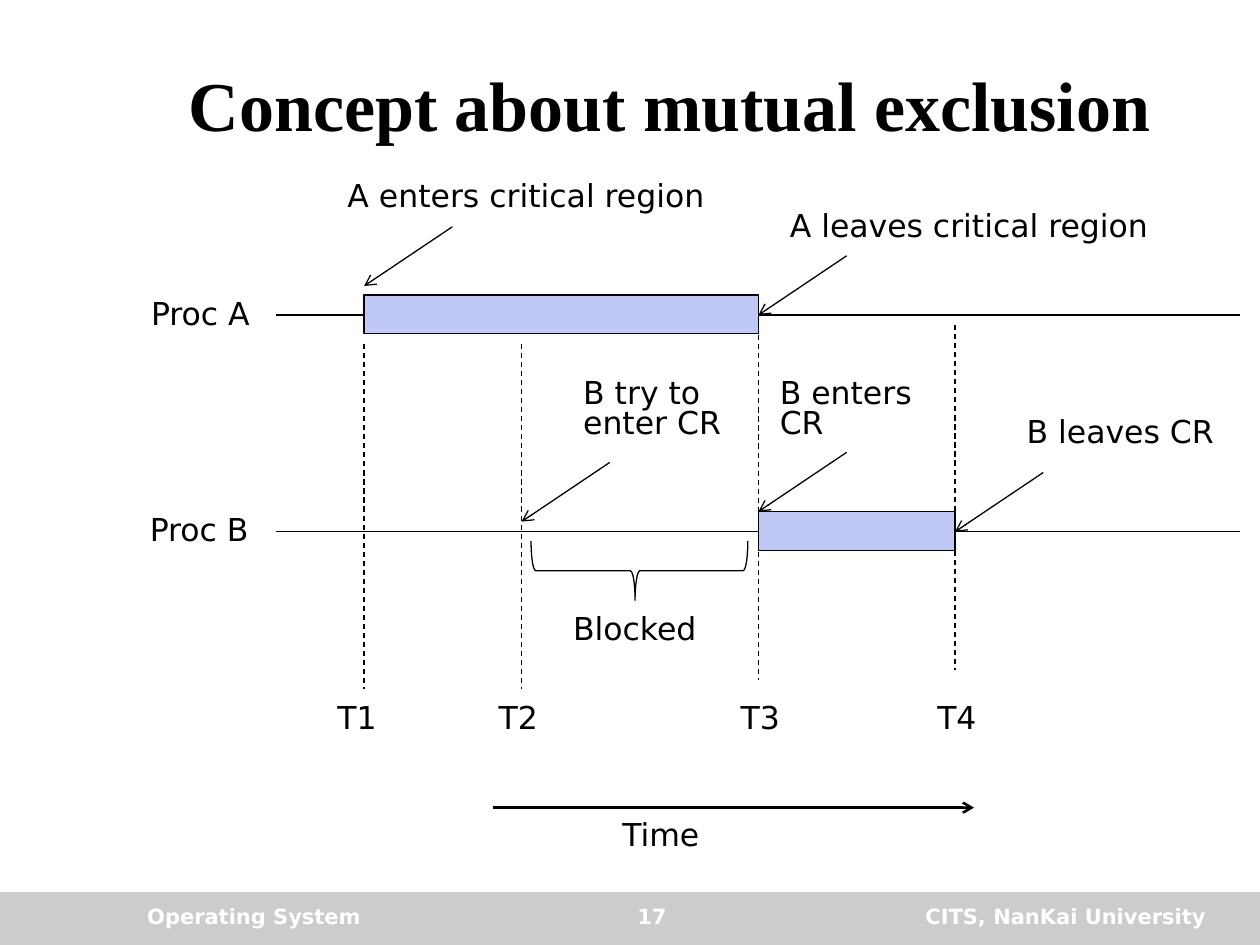
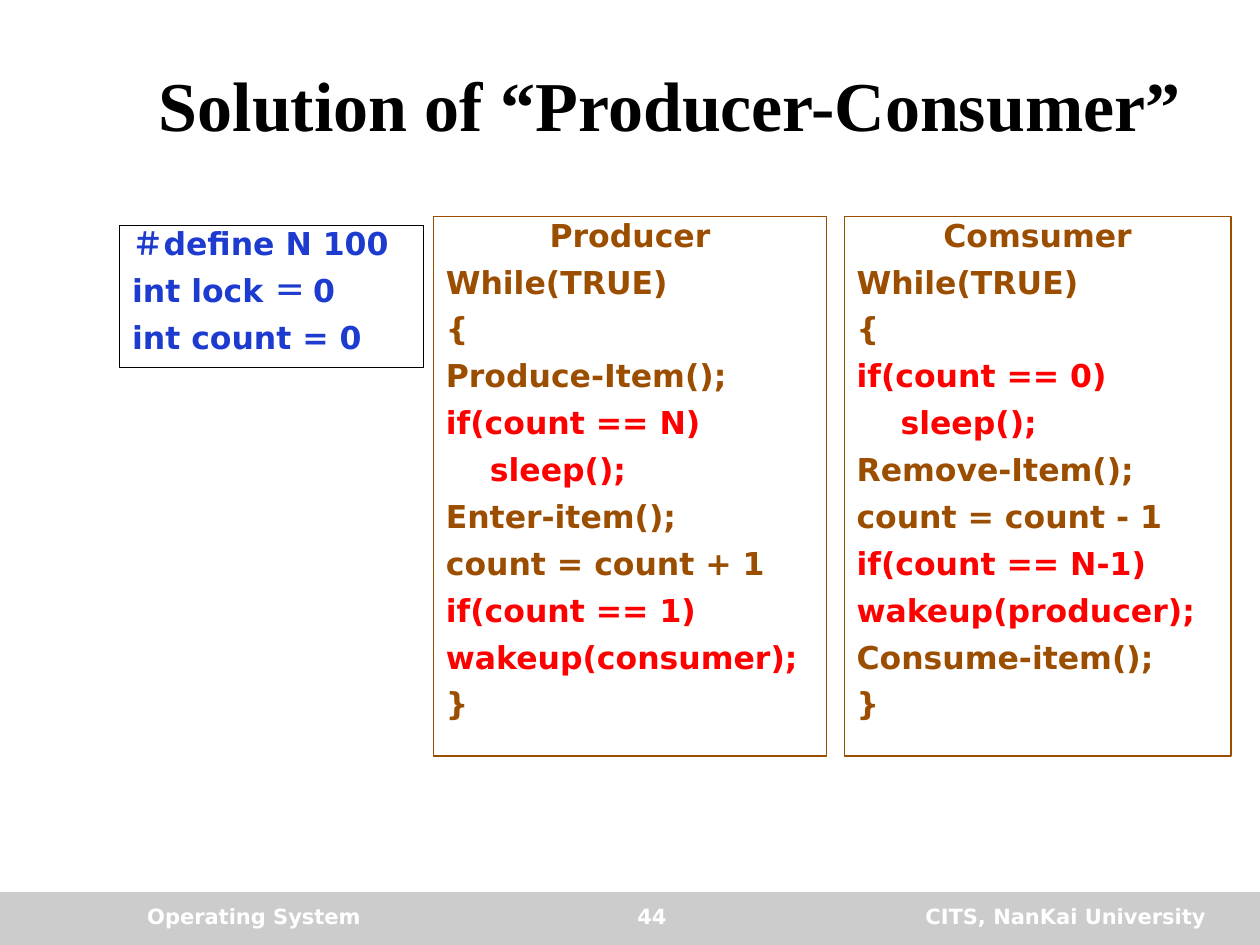
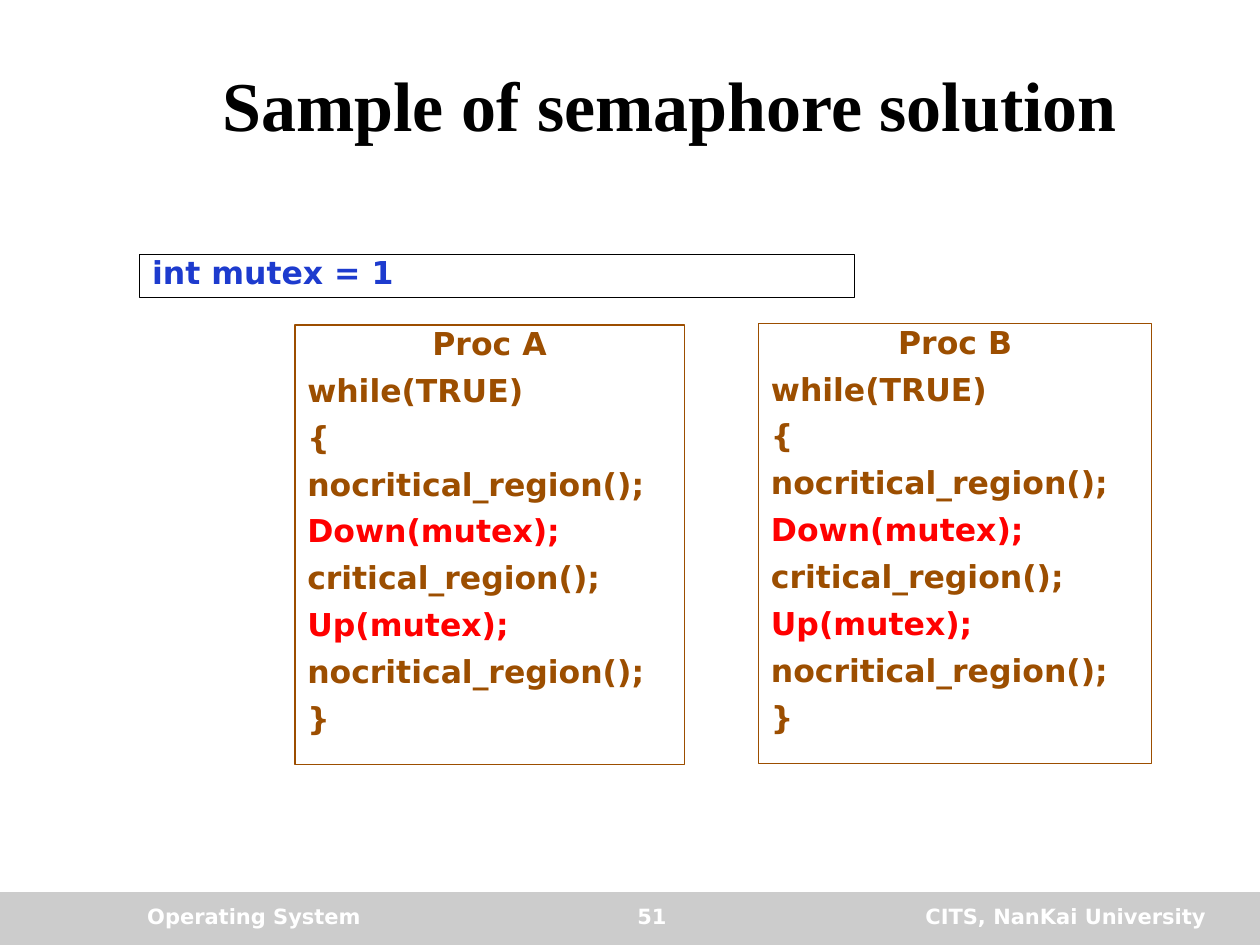
from pptx import Presentation
from pptx.dml.color import RGBColor
from pptx.enum.dml import MSO_LINE
from pptx.enum.shapes import MSO_CONNECTOR, MSO_SHAPE
from pptx.enum.text import MSO_ANCHOR, MSO_AUTO_SIZE, PP_ALIGN
from pptx.oxml.ns import qn
from pptx.util import Inches, Pt
from lxml import etree

LEFT, CENTER, RIGHT = PP_ALIGN.LEFT, PP_ALIGN.CENTER, PP_ALIGN.RIGHT
TOP, MIDDLE = MSO_ANCHOR.TOP, MSO_ANCHOR.MIDDLE
FIXED, GROW = MSO_AUTO_SIZE.NONE, MSO_AUTO_SIZE.SHAPE_TO_FIT_TEXT
RECTANGLE, BRACE = MSO_SHAPE.RECTANGLE, MSO_SHAPE.LEFT_BRACE
STRAIGHT, DASH = MSO_CONNECTOR.STRAIGHT, MSO_LINE.DASH

BLACK = RGBColor(0x00, 0x00, 0x00)
WHITE = RGBColor(0xFF, 0xFF, 0xFF)
GREY = RGBColor(0xCC, 0xCC, 0xCC)
LILAC = RGBColor(0xC0, 0xC9, 0xF6)
BROWN = RGBColor(0x9C, 0x4E, 0x00)
RED = RGBColor(0xFF, 0x00, 0x00)
BLUE = RGBColor(0x1D, 0x3B, 0xCE)

TITLE_FONT, BODY_FONT = "Times New Roman", "DejaVu Sans"


class Lecture:
    """Holds the deck, its style and the current page."""

    def __init__(self):
        self.deck = Presentation()
        self.deck.slide_width = Inches(10)
        self.deck.slide_height = Inches(7.5)
        self.page = None

    def new_page(self, title, number):
        self.page = self.deck.slides.add_slide(self.deck.slide_layouts[6])
        self.shape(RECTANGLE, 0, 7.08, 10, 0.42, fill=GREY, line=None)
        self.text(title, 1.06, 0.33, 8.51, 0.98, size=40, bold=True,
                  font=TITLE_FONT, align=CENTER, anchor=MIDDLE)
        footers = [("Operating System", 1.07, 2.75, LEFT),
                   ("CITS, NanKai University", 6.5, 3.17, RIGHT),
                   (str(number), 4.01, 2.33, CENTER)]
        for words, left, width, align in footers:
            self.text(words, left, 7.12, width, 0.33, size=12, bold=True,
                      color=WHITE, align=align)

    def style(self, para, size=18, color=BLACK, bold=False, font=BODY_FONT,
              align=LEFT, spacing=1.0):
        para.alignment = align
        para.line_spacing = spacing
        for span in para.runs:
            span.font.size = Pt(size)
            span.font.name = font
            span.font.bold = bold
            span.font.color.rgb = color

    def text(self, words, left, top, width, height, anchor=TOP, wrap=True,
             fit=FIXED, **look):
        box = self.page.shapes.add_textbox(
            Inches(left), Inches(top), Inches(width), Inches(height))
        frame = box.text_frame
        frame.word_wrap = wrap
        frame.auto_size = fit
        frame.vertical_anchor = anchor
        frame.text = words
        self.style(frame.paragraphs[0], **look)

    def label(self, words, left, top, width, height=0.34, wrap=False):
        self.text(words, left, top, width, height, wrap=wrap, fit=GROW,
                  spacing=0.8)

    def shape(self, kind, left, top, width, height, fill=None, line=BLACK):
        shape = self.page.shapes.add_shape(
            kind, Inches(left), Inches(top), Inches(width), Inches(height))
        shape.shadow.inherit = False
        if fill is None:
            shape.fill.background()
        else:
            shape.fill.solid()
            shape.fill.fore_color.rgb = fill
        if line is None:
            shape.line.fill.background()
        else:
            shape.line.color.rgb = line
            shape.line.width = Pt(0.75)
        return shape

    def line(self, x1, y1, x2, y2, weight=0.75, dashed=False, arrow=False):
        line = self.page.shapes.add_connector(
            STRAIGHT, Inches(x1), Inches(y1), Inches(x2), Inches(y2))
        line.line.color.rgb = BLACK
        line.line.width = Pt(weight)
        if dashed:
            line.line.dash_style = DASH
        if arrow:
            outline = line.line._get_or_add_ln()
            etree.SubElement(outline, qn("a:tailEnd"), type="arrow")
        etree.SubElement(line._element.spPr, qn("a:effectLst"))

    def code(self, lines, left, top, width, height, color=BROWN, line=BROWN,
             heading=True, red=(), indented=()):
        """Boxed code; red and indented hold line numbers."""
        box = self.shape(RECTANGLE, left, top, width, height, line=line)
        frame = box.text_frame
        frame.word_wrap = True
        frame.vertical_anchor = TOP
        frame.text = "\n".join(lines)
        for row, para in enumerate(frame.paragraphs):
            self.style(para, color=RED if row in red else color, bold=True,
                       align=CENTER if heading and row == 0 else LEFT,
                       spacing=0.8)
            if row > 0:
                para.space_before = Pt(9.5)
            if row in indented:
                para._p.get_or_add_pPr().set("marL", str(Inches(0.35)))


lecture = Lecture()

# Page 1: timeline of two processes
lecture.new_page("Concept about mutual exclusion", 17)
T1, T2, T3, T4 = 2.89, 4.14, 6.02, 7.58
ROW_A, ROW_B = 2.5, 4.22
START, END = 2.19, 9.84

# Process rows and their critical regions
for name, left, row, enter, leave in [("Proc A", 1.1, ROW_A, T1, T3),
                                      ("Proc B", 1.09, ROW_B, T3, T4)]:
    lecture.shape(RECTANGLE, enter, row - 0.16, leave - enter, 0.31, LILAC)
    lecture.line(START, row, enter, row)
    lecture.line(leave, row, END, row)
    lecture.label(name, left, row - 0.16, 1.01)

# Events: each arrow has the same slope and ends at (x, y)
events = [
    ("A enters critical region", T1, 2.27, 2.66, 1.41, 3.07, 0.34),
    ("A leaves critical region", T3, ROW_A, 6.17, 1.64, 3.07, 0.34),
    ("B try to enter CR", T2, 4.14, 4.53, 2.97, 1.41, 0.59),
    ("B enters CR", T3, 4.06, 6.09, 2.97, 1.41, 0.59),
    ("B leaves CR", T4, ROW_B, 8.05, 3.28, 1.7, 0.34),
]
for words, x, y, left, top, width, height in events:
    lecture.line(x + 0.7, y - 0.47, x, y, arrow=True)
    lecture.label(words, left, top, width, height, wrap=height > 0.5)

# Moments in time
for name, x, top, left in [("T1", T1, 2.73, 2.58), ("T2", T2, 2.73, 3.86),
                           ("T3", T3, 2.66, 5.78), ("T4", T4, 2.58, 7.34)]:
    lecture.line(x, top, x, top + 2.74, dashed=True)
    lecture.label(name, left, 5.55, 0.52)

# Time axis
lecture.line(3.91, 6.41, 7.73, 6.41, weight=1.5, arrow=True)
lecture.label("Time", 4.84, 6.48, 0.82)

# Blocked span
brace = lecture.shape(BRACE, 4.84, 3.67, 0.47, 1.72, WHITE)
brace.rotation = 270
brace.adjustments[0] = 0.08
brace.adjustments[1] = 0.48
lecture.label("Blocked", 4.45, 4.84, 1.18)

# Page 2: producer and consumer
lecture.new_page("Solution of “Producer-Consumer”", 44)
lecture.code(["Producer", "While(TRUE)", "{", "Produce-Item();",
              "if(count == N)", "sleep();", "Enter-item();",
              "count = count + 1", "if(count == 1)", "wakeup(consumer);",
              "}"],
             3.44, 1.72, 3.12, 4.28, red=(4, 5, 8, 9), indented=(5,))
lecture.code(["＃define N 100", "int lock ＝ 0", "int count = 0"],
             0.95, 1.79, 2.41, 1.13, color=BLUE, line=BLACK, heading=False)
lecture.code(["Comsumer", "While(TRUE)", "{", "if(count == 0)", "sleep();",
              "Remove-Item();", "count = count - 1", "if(count == N-1)",
              "wakeup(producer);", "Consume-item();", "}"],
             6.7, 1.72, 3.07, 4.28, red=(3, 4, 7, 8), indented=(4,))

# Page 3: semaphore
lecture.new_page("Sample of semaphore solution", 51)
lecture.code(["int mutex = 1"], 1.11, 2.02, 5.67, 0.34, color=BLUE,
             line=BLACK, heading=False)
loop = ["while(TRUE)", "{", "nocritical_region();", "Down(mutex);",
        "critical_region();", "Up(mutex);", "nocritical_region();", "}"]
for name, left, top, width in [("Proc A", 2.34, 2.58, 3.09),
                               ("Proc B", 6.02, 2.57, 3.12)]:
    lecture.code([name] + loop, left, top, width, 3.49, red=(4, 6))

lecture.deck.save("out.pptx")
